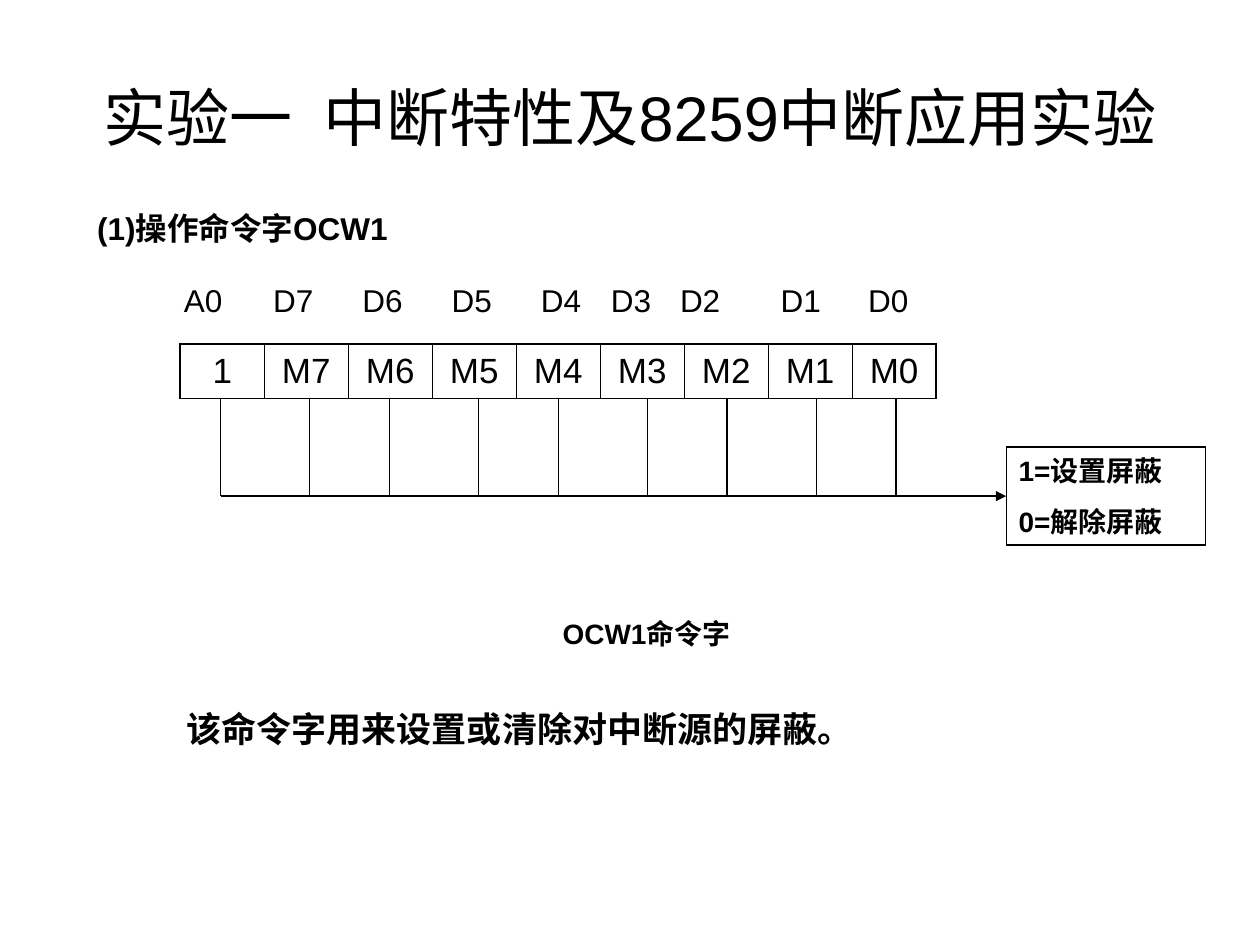
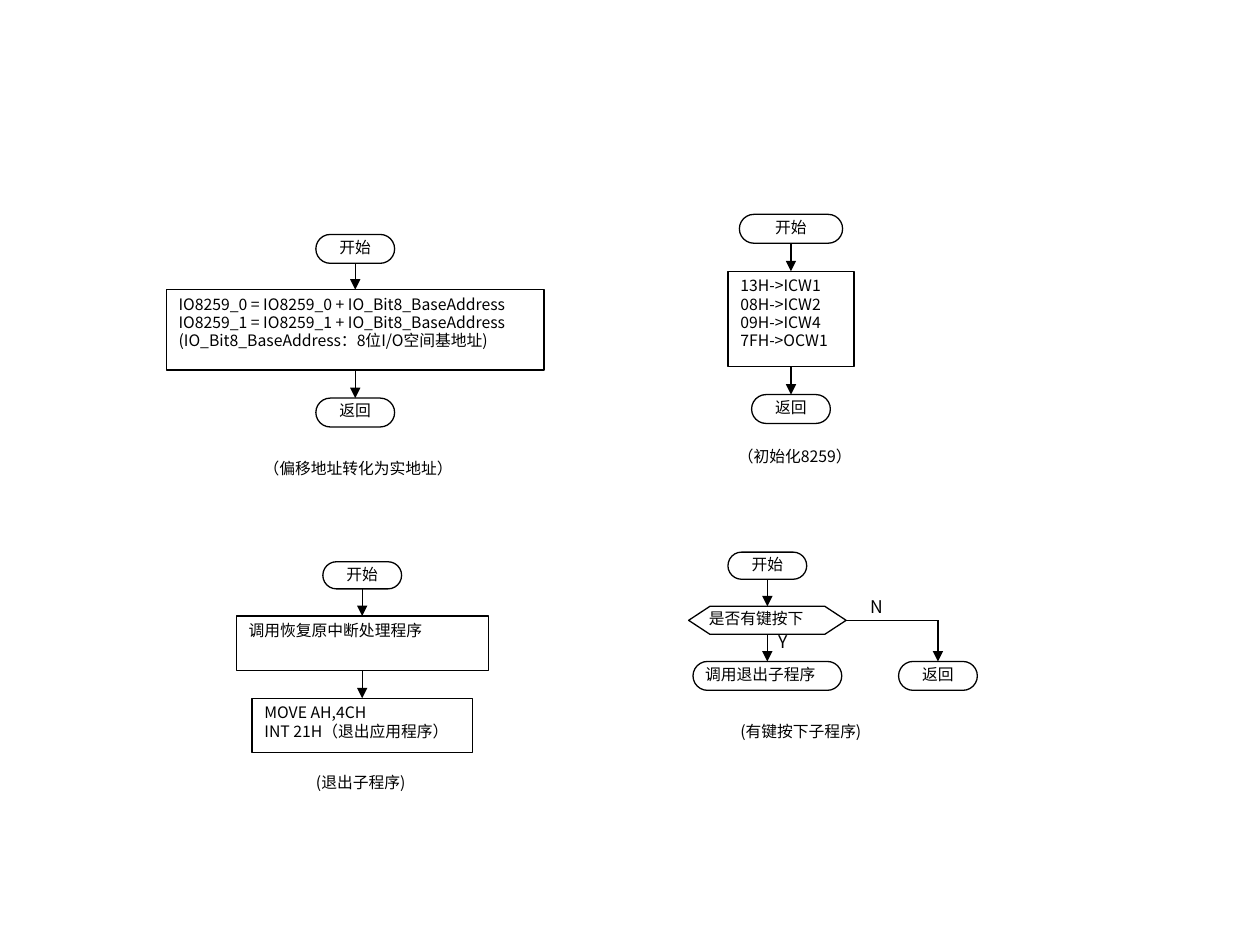
"""Build two slides on the 8259 interrupt controller: OCW1 and the routine flowcharts."""
from dataclasses import dataclass
from itertools import pairwise
from lxml.etree import SubElement as Sub
from pptx import Presentation as Deck
from pptx.dml.color import RGBColor as Rgb
from pptx.enum.shapes import MSO_CONNECTOR as Conn, MSO_SHAPE as Kind
from pptx.enum.text import MSO_ANCHOR as Anchor, PP_ALIGN as Align
from pptx.oxml.ns import qn
from pptx.util import Pt


@dataclass(frozen=True)
class Theme:
    """Hold the colours, fonts, type sizes and line widths of the deck."""
    ink: str = "000000"
    paper: str = "FFFFFF"
    sans: str = "Arial"
    serif: str = "Times New Roman"
    han: str = "Noto Sans CJK SC"
    title: int = 36
    lead: int = 20
    label: int = 18
    note: int = 16
    mark: int = 10
    code: int = 9
    thin: float = 0.45
    line: float = 0.75
    bold: float = 1.08


T = Theme()
INK = Rgb.from_string(T.ink)
PAPER = Rgb.from_string(T.paper)
WIDE = dict(margin_left=Pt(7.2), margin_right=Pt(7.2), margin_top=Pt(3.6),
            margin_bottom=Pt(3.6), word_wrap=True, vertical_anchor=Anchor.TOP)
TIGHT = WIDE | dict.fromkeys(("margin_left", "margin_right", "margin_top", "margin_bottom"), 0)
LEFT = dict(alignment=Align.LEFT)
MID = dict(alignment=Align.CENTER)
JUST = dict(alignment=Align.JUSTIFY)
DENSE = dict(line_spacing=0.96)


def put(item, vals):
    """Set the attributes of an item from a dict."""
    for key, val in vals.items():
        setattr(item, key, val)


def face(size, name=T.sans, bold=False):
    """Return the font values of a text style."""
    return dict(name=name, size=Pt(size), bold=bold)


def span(para, text, font):
    """Add one run of text to a paragraph."""
    run = para.add_run()
    run.text = text
    put(run.font, font)
    run.font.color.rgb = INK
    props = run._r.get_or_add_rPr()
    Sub(props, qn("a:ea"), typeface=T.han)
    return props


def write(frame, text, font, para=LEFT, gap=0):
    """Fill a text frame, one paragraph a line, with a gap between them."""
    for num, line in enumerate(text.split("\n")):
        item = frame.add_paragraph() if num else frame.paragraphs[0]
        put(item, para)
        if num:
            item.space_before = Pt(gap)
        span(item, line, font)


def label(slide, spot, text, font, para=LEFT):
    """Add a text box at a spot of left, top, width and height."""
    frame = slide.shapes.add_textbox(*map(Pt, spot)).text_frame
    put(frame, WIDE)
    write(frame, text, font, para)


def title(slide, parts):
    """Add the slide title, its parts set apart by a wide space."""
    frame = slide.shapes.add_textbox(*map(Pt, (36, 21.5, 648, 90))).text_frame
    put(frame, WIDE | dict(vertical_anchor=Anchor.MIDDLE))
    para = frame.paragraphs[0]
    put(para, MID)
    font = face(T.title)
    for num, part in enumerate(parts):
        if num:
            span(para, " ", font).set("spc", "1000")
        span(para, part, font)


def node(slide, kind, spot, inset=TIGHT):
    """Add an outlined shape without text."""
    shape = slide.shapes.add_shape(kind, *map(Pt, spot))
    shape.shadow.inherit = False
    shape.fill.solid()
    shape.fill.fore_color.rgb = PAPER
    shape.line.color.rgb = INK
    shape.line.width = Pt(T.line)
    put(shape.text_frame, inset)
    return shape


def pill(slide, spot, text, indent=0):
    """Add a rounded end node, centred unless its text is indented."""
    shape = node(slide, Kind.ROUNDED_RECTANGLE, spot, TIGHT | dict(margin_left=Pt(indent)))
    shape.adjustments[0] = 0.5
    font = face(T.code, T.han if indent else T.serif)
    write(shape.text_frame, text, font, DENSE | (JUST if indent else MID))
    return shape


def call(slide, spot, text):
    """Add a rounded node that calls a routine."""
    return pill(slide, spot, text, 4.5)


def step(slide, spot, text):
    """Add a rectangle with lines of code."""
    shape = node(slide, Kind.RECTANGLE, spot, WIDE)
    write(shape.text_frame, text, face(T.code, T.han), JUST | DENSE)
    return shape


def test(slide, spot, text):
    """Add a hexagon that asks a question."""
    shape = node(slide, Kind.HEXAGON, spot)
    shape.adjustments[0] = 0.76
    write(shape.text_frame, text, face(T.code, T.han), JUST | DENSE)
    return shape


def wire(slide, x1, y1, x2, y2, head=False):
    """Add a straight line, with an arrowhead if asked."""
    link = slide.shapes.add_connector(Conn.STRAIGHT, *map(Pt, (x1, y1, x2, y2)))
    link.line.color.rgb = INK
    link.line.width = Pt(T.line)
    if head:
        Sub(link.line._ln, qn("a:tailEnd"), type="triangle")
    Sub(link._element.spPr, qn("a:effectLst"))
    return link


def edge(cell, sides):
    """Draw the borders of a cell from a dict of side and width."""
    props = cell._tc.get_or_add_tcPr()
    for side, width in sides.items():
        line = Sub(props, qn(f"a:ln{side}"), w=str(Pt(width)))
        Sub(Sub(line, qn("a:solidFill")), qn("a:srgbClr"), val=T.ink)


def bits(slide, spot, names):
    """Add the one-row table of register bits."""
    table = slide.shapes.add_table(1, len(names), *map(Pt, spot)).table
    put(table, dict(first_row=False, horz_banding=False))
    last = len(names) - 1
    for num, name in enumerate(names):
        cell = table.cell(0, num)
        edge(cell, dict(L=T.thin if num else T.bold, R=T.thin if num < last else T.bold,
                        T=T.bold, B=T.bold))
        cell.fill.background()
        cell.vertical_anchor = Anchor.MIDDLE
        write(cell.text_frame, name, face(T.lead), MID)


def flow(slide, axis, parts, spot, name):
    """Stack nodes on an axis, join them by arrows and add a caption."""
    nodes = []
    for make, top, wide, high, text in parts:
        shape = make(slide, (axis - wide / 2, top, wide, high), text)
        nodes.append((shape, make, top, top + high))
    for (up, kind, _, low), (down, next_kind, top, _) in pairwise(nodes):
        link = wire(slide, axis, low, axis, top, True)
        if kind is not test:
            link.begin_connect(up, 2)
        if next_kind is not test:
            link.end_connect(down, 0)
    label(slide, spot, name, face(T.code, T.han), JUST)


def word(slide):
    """Draw the OCW1 command word."""
    title(slide, ("实验一", "中断特性及8259中断应用实验"))
    label(slide, (48.5, 116, 204.5, 29), "(1)操作命令字OCW1", face(T.label, bold=True))
    heads = "A0 D7 D6 D5 D4 D3 D2 D1 D0".split()
    lefts = [98 + 51 * num for num in range(5)] + [342, 381.5, 439, 489]
    for head, left in zip(heads, lefts):
        label(slide, (left, 157, 40, 29), head, face(T.label))
    bits(slide, (103, 196.5, 432, 31), ["1"] + [f"M{num}" for num in range(7, -1, -1)])
    bus = 283.5
    for num in range(len(heads)):
        drop = 126 + 96.5 * (num // 2) + 51 * (num % 2)
        wire(slide, drop, 227.5, drop, bus)
    hint = node(slide, Kind.RECTANGLE, (575, bus - 28, 114, 56), WIDE)
    hint.fill.background()
    write(hint.text_frame, "1=设置屏蔽\n0=解除屏蔽", face(T.note, bold=True), gap=10)
    wire(slide, 126, bus, 575, bus, True).end_connect(hint, 1)
    label(slide, (314.5, 349, 113.5, 46), "OCW1命令字", face(T.note, bold=True))
    label(slide, (99.5, 400.5, 436, 32), "该命令字用来设置或清除对中断源的屏蔽。",
          face(T.lead, bold=True))


def charts(slide):
    """Draw the four routine flowcharts."""
    flow(slide, 203, [
        (pill, 134, 45, 16.5, "开始"),
        (step, 165.5, 216, 46, "IO8259_0 = IO8259_0 + IO_Bit8_BaseAddress\n"
                               "IO8259_1 = IO8259_1 + IO_Bit8_BaseAddress\n"
                               "(IO_Bit8_BaseAddress：8位I/O空间基地址)"),
        (pill, 227.5, 45, 16.5, "返回"),
    ], (143.5, 258.5, 132, 23), "（偏移地址转化为实地址）")
    flow(slide, 452, [
        (pill, 122.5, 59, 16.5, "开始"),
        (step, 155, 72, 54.5, "13H->ICW1\n08H->ICW2\n09H->ICW4\n7FH->OCW1"),
        (pill, 225.5, 45, 16.5, "返回"),
    ], (414.5, 252, 121, 24), "（初始化8259）")
    flow(slide, 207, [
        (pill, 321, 45, 15.5, "开始"),
        (step, 352, 144, 31, "调用恢复原中断处理程序"),
        (step, 399, 126, 31, "MOVE AH,4CH\nINT 21H（退出应用程序）"),
    ], (173.5, 438, 99.5, 19.5), "(退出子程序)")
    flow(slide, 438.5, [
        (pill, 315.5, 45, 15.5, "开始"),
        (test, 346.5, 90, 16, "是否有键按下"),
        (call, 378, 85, 16.5, "调用退出子程序"),
    ], (416, 409, 116.5, 24), "(有键按下子程序)")
    back = pill(slide, (513.5, 378, 45, 16.5), "返回")
    wire(slide, 483.5, 354.5, 536, 354.5)
    wire(slide, 536, 354.5, 536, 378, True).end_connect(back, 0)
    for text, left, top in (("Y", 437.5, 357), ("N", 490.5, 337)):
        label(slide, (left, top, 24, 24), text, face(T.mark, T.han), JUST)


def main():
    """Build the deck and save it."""
    deck = Deck()
    put(deck, dict(slide_width=Pt(720), slide_height=Pt(540)))
    for draw in (word, charts):
        draw(deck.slides.add_slide(deck.slide_layouts[6]))
    deck.save("out.pptx")


if __name__ == "__main__":
    main()
